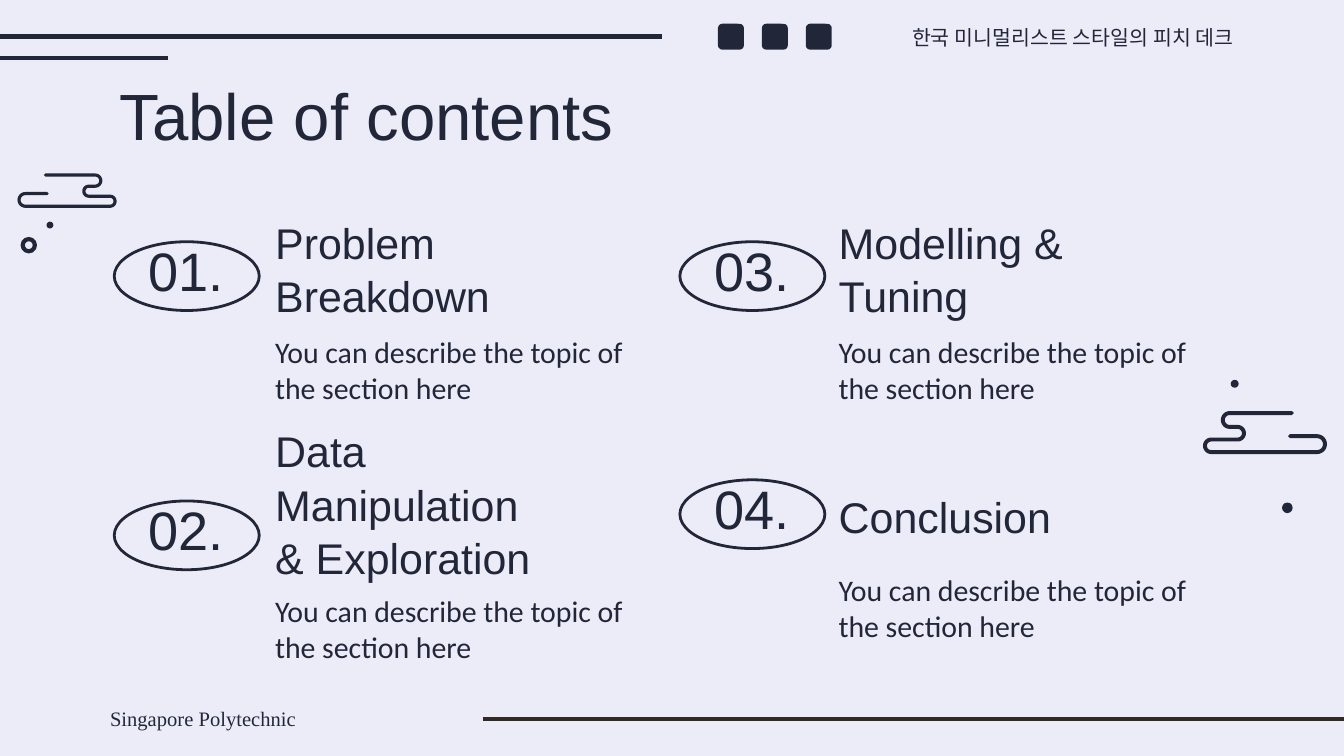
from dataclasses import dataclass
from math import cos, pi, sin

from lxml.etree import SubElement
from pptx import Presentation
from pptx.dml.color import RGBColor
from pptx.enum.shapes import MSO_CONNECTOR as Connector, MSO_SHAPE as Shape
from pptx.enum.text import MSO_ANCHOR as Anchor, MSO_AUTO_SIZE as AutoSize, PP_ALIGN as Align
from pptx.oxml.ns import qn
from pptx.util import Cm, Pt


@dataclass(frozen=True)
class Style:
    font: str
    size: int
    line_spacing: float = 1.0


@dataclass(frozen=True)
class Theme:
    ink: RGBColor = RGBColor(0x21, 0x27, 0x39)
    footer_line: RGBColor = RGBColor(0x30, 0x29, 0x26)
    background: RGBColor = RGBColor(0xEC, 0xEB, 0xF8)
    title: Style = Style("Arial", 35)
    number: Style = Style("Arial", 29)
    heading: Style = Style("Arial", 23, 1.04)
    description: Style = Style("Calibri", 16)
    tagline: Style = Style("TeX Gyre Adventor", 11)
    footer: Style = Style("Times New Roman", 11)
    rule_width: float = 2.25
    badge_width: float = 1.5


THEME = Theme()
WIDTH, HEIGHT = 25.4, 14.29
INSET = 0.25
DESCRIPTION = "You can describe the topic of the section here"

# column: badge left, text left, description width
LEFT_COLUMN, RIGHT_COLUMN = (2.16, 4.95, 7.62), (12.85, 15.6, 7.42)
# number, heading, column, badge top, heading top
SECTIONS = [
    ("01.", "Problem Breakdown", LEFT_COLUMN, 4.57, 4.39),
    ("02.", "Data Manipulation & Exploration", LEFT_COLUMN, 9.47, 9.35),
    ("03.", "Modelling & Tuning", RIGHT_COLUMN, 4.57, 4.39),
    ("04.", "Conclusion", RIGHT_COLUMN, 9.07, 8.56),
]

# Ribbon of a cloud: half circles as centre x, y before, y after, side
CLOUD_START, CLOUD_END = (0.53, 0.03), (0.56, 0.38)
CLOUD_BENDS = [
    (1.47, 0.03, 0.24, 1),
    (1.35, 0.24, 0.43, -1),
    (1.75, 0.43, 0.62, 1),
    (0.15, 0.62, 0.38, -1),
]
CLOUD_WIDTH, HALF_STROKE, ARC_STEPS = 1.88, 0.03, 12


def box(left, top, width, height):
    return Cm(left), Cm(top), Cm(width), Cm(height)


def write(shape, text, style, anchor=Anchor.MIDDLE, align=Align.LEFT, top_inset=INSET):
    frame = shape.text_frame
    frame.word_wrap = True
    frame.auto_size = AutoSize.NONE
    frame.vertical_anchor = anchor
    frame.margin_left = frame.margin_right = frame.margin_bottom = Cm(INSET)
    frame.margin_top = Cm(top_inset)
    paragraph = frame.paragraphs[0]
    properties = paragraph._p.get_or_add_pPr()
    properties.set("marL", "0")
    properties.set("indent", "0")
    SubElement(properties, qn("a:buNone"))
    paragraph.alignment = align
    paragraph.space_before = Pt(0)
    paragraph.line_spacing = style.line_spacing
    run = paragraph.add_run()
    run.text = text
    run.font.name = style.font
    run.font.size = Pt(style.size)
    run.font.bold = False
    run.font.color.rgb = THEME.ink


def add_text(slide, place, text, style, **layout):
    write(slide.shapes.add_textbox(*box(*place)), text, style, **layout)


def fill_placeholder(placeholder, place, text, style, **layout):
    placeholder.left, placeholder.top, placeholder.width, placeholder.height = box(*place)
    write(placeholder, text, style, **layout)


def add_rule(slide, start, end, y, color):
    rule = slide.shapes.add_connector(
        Connector.STRAIGHT, Cm(start), Cm(y), Cm(end), Cm(y))
    rule.line.color.rgb = color
    rule.line.width = Pt(THEME.rule_width)
    SubElement(rule._element.spPr, qn("a:effectLst"))


def paint_solid(shape):
    shape.shadow.inherit = False
    shape.fill.solid()
    shape.fill.fore_color.rgb = THEME.ink
    shape.line.fill.background()


def add_solid(slide, kind, place):
    paint_solid(slide.shapes.add_shape(kind, *box(*place)))


def add_ring(slide, place, line_width):
    ring = slide.shapes.add_shape(Shape.OVAL, *box(*place))
    ring.shadow.inherit = False
    ring.fill.background()
    ring.line.color.rgb = THEME.ink
    ring.line.width = Pt(line_width)


def cloud_edge(offset):
    """Points along one edge of the ribbon, offset to the left of its direction."""
    points = [(CLOUD_START[0], CLOUD_START[1] - offset)]
    for x, before, after, side in CLOUD_BENDS:
        down = 1 if after > before else -1
        radius = abs(after - before) / 2 + offset * side * down
        middle = (before + after) / 2
        for step in range(ARC_STEPS + 1):
            angle = pi * step / ARC_STEPS
            points.append((x + side * radius * sin(angle),
                           middle - down * radius * cos(angle)))
    return points + [(CLOUD_END[0], CLOUD_END[1] - offset)]


def add_cloud(slide, left, top, scale=1.0, mirrored=False):
    end_cap = (CLOUD_END[0] + HALF_STROKE, CLOUD_END[1])
    start_cap = (CLOUD_START[0] - HALF_STROKE, CLOUD_START[1])
    outline = [*cloud_edge(HALF_STROKE), end_cap,
               *reversed(cloud_edge(-HALF_STROKE)), start_cap]
    points = [(Cm(left + scale * (CLOUD_WIDTH - x if mirrored else x)),
               Cm(top + scale * y)) for x, y in outline]
    builder = slide.shapes.build_freeform(*points[0])
    builder.add_line_segments(points[1:], close=True)
    paint_solid(builder.convert_to_shape())


def add_section(slide, placeholder, section):
    number, heading, column, badge_top, heading_top = section
    badge_left, text_left, description_width = column
    add_ring(slide, (badge_left, badge_top, 2.74, 1.3), THEME.badge_width)
    add_text(slide, (badge_left + 0.31, badge_top, 2.11, 1.3), number,
             THEME.number, align=Align.CENTER, top_inset=0)
    fill_placeholder(placeholder, (text_left, heading_top, 5.74, 1.93), heading,
                     THEME.heading, anchor=Anchor.BOTTOM)
    add_text(slide, (text_left, badge_top + 1.49, description_width, 2.15),
             DESCRIPTION, THEME.description, anchor=Anchor.TOP)


def add_decorations(slide):
    add_cloud(slide, 0.33, 3.28)
    add_cloud(slide, 22.73, 7.77, scale=1.25, mirrored=True)
    for left, top, size in [(24.23, 9.5, 0.2), (0.88, 4.19, 0.13), (23.26, 7.18, 0.15)]:
        add_solid(slide, Shape.OVAL, (left, top, size, size))
    add_ring(slide, (0.43, 4.52, 0.23, 0.23), THEME.rule_width)


def add_header_and_footer(slide):
    add_rule(slide, 0, 12.52, 0.69, THEME.ink)
    add_rule(slide, 0, 3.18, 1.09, THEME.ink)
    add_rule(slide, 9.12, WIDTH, 13.59, THEME.footer_line)
    for index in range(3):
        add_solid(slide, Shape.ROUNDED_RECTANGLE, (13.57 + 0.83 * index, 0.45, 0.49, 0.49))
    add_text(slide, (16.13, 0.3, 7.44, 0.81), "한국 미니멀리스트 스타일의 피치 데크",
             THEME.tagline, align=Align.RIGHT)
    add_text(slide, (1.83, 13.18, 7.44, 0.81), "Singapore Polytechnic", THEME.footer)


def main():
    presentation = Presentation()
    presentation.slide_width, presentation.slide_height = Cm(WIDTH), Cm(HEIGHT)
    comparison_layout = presentation.slide_layouts[4]
    slide = presentation.slides.add_slide(comparison_layout)
    slide.background.fill.solid()
    slide.background.fill.fore_color.rgb = THEME.background

    title, *headings = slide.placeholders
    fill_placeholder(title, (2.01, 1.5, 21.41, 1.32), "Table of contents", THEME.title)
    add_header_and_footer(slide)
    for placeholder, section in zip(headings, SECTIONS):
        add_section(slide, placeholder, section)
    add_decorations(slide)
    presentation.save("out.pptx")


if __name__ == "__main__":
    main()
